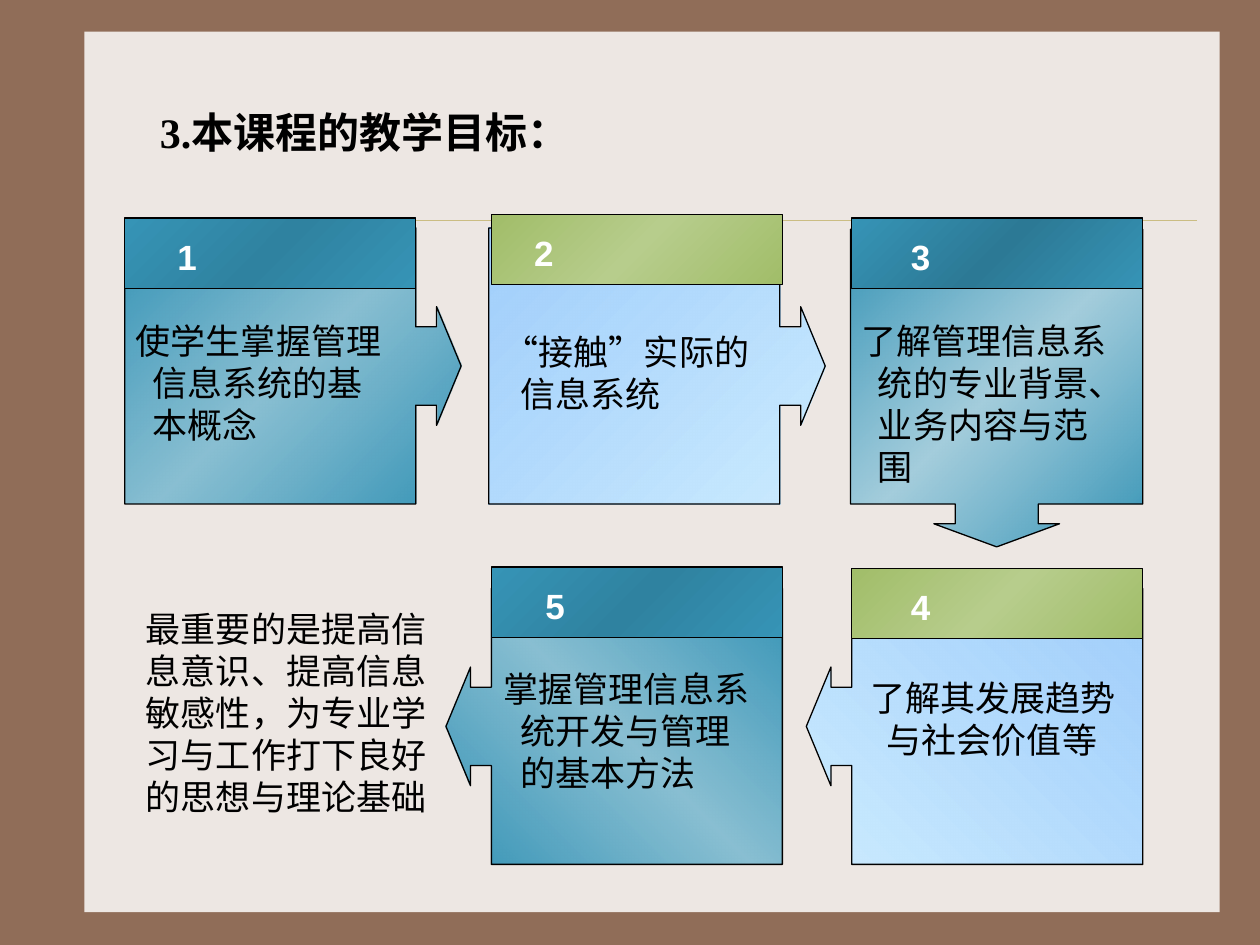
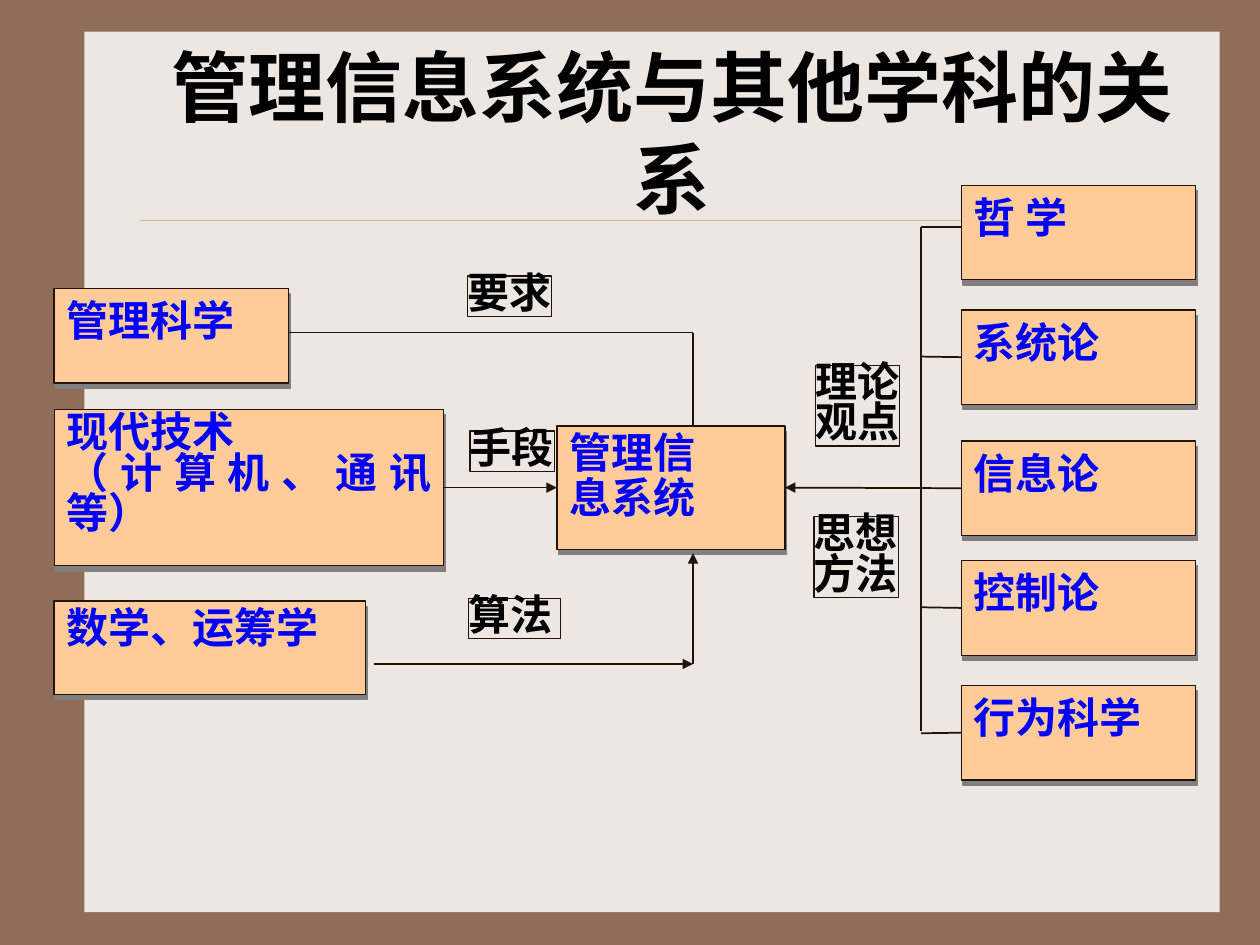
"""Build two course slides: the teaching goals and the related disciplines."""
from lxml import etree
from pptx import Presentation
from pptx import util as u
from pptx.dml.color import RGBColor
from pptx.enum import shapes, text
from pptx.oxml.ns import qn

SLIDE_W, SLIDE_H = 10, 7.5
BACKGROUND, PAPER, RULE = "906D58", "EDE7E3", "CBBD83"
BLACK, WHITE, BLUE, INK = "000000", "FFFFFF", "0000FF", "221304"
BOX_FILL, BOX_SHADOW = "FFCC99", "808080"
SERIF, SANS = "Times New Roman", "Arial"
ROOMY, TIGHT = (0.1, 0.05), (0, 0)
LEFT, CENTER, JUSTIFY = (text.PP_ALIGN.LEFT, text.PP_ALIGN.CENTER,
                         text.PP_ALIGN.JUSTIFY)

GOALS_TITLE = "3.本课程的教学目标："
GOALS_SUMMARY = "最重要的是提高信息意识、提高信息敏感性，为专业学习与工作打下良好的思想与理论基础"
COLUMNS = (0.99, 3.9, 6.76)
HEADER_SIZE = (2.31, 0.56)
CALLOUT_SIZE, DOWN_SIZE = (2.67, 2.19), (2.52, 2.32)

TEAL = [(0, "3694B6", 100), (50, "7FBBD1", 90), (100, "3694B6", 100)]
PALE_TEAL = [(0, "3694B6", 100), (50, "9DCBDC", 90), (100, "3694B6", 100)]
SKY = [(0, "99CCFF", 90), (100, "CCECFF", 100)]
GREEN = [(0, "A1BD69", 100), (50, "B7CD8C", 100), (100, "A1BD69", 100)]
DEEP = [(0, "3694B6", 100), (50, "2F82A0", 100), (100, "3694B6", 100)]
DEEPEST = [(0, "3694B6", 100), (50, "2C7995", 100), (100, "3694B6", 100)]

GOALS = [
    dict(number="1", goal="使学生掌握管理信息系统的基本概念", column=0, top=1.73,
         flow="right", callout=(0.99, 1.81), body=TEAL, header=DEEP,
         number_inset=0.32, goal_at=(0.98, 2.49)),
    dict(number="2", goal="“接触”实际的信息系统", column=1, top=1.7,
         flow="right", callout=(3.88, 1.81), body=SKY, header=GREEN,
         number_inset=0.24, goal_at=(3.9, 2.57)),
    dict(number="3", goal="了解管理信息系统的专业背景、业务内容与范围", column=2, top=1.73,
         flow="down", callout=(6.65, 1.92), body=PALE_TEAL, header=DEEPEST,
         number_inset=0.37, goal_at=(6.74, 2.49)),
    dict(number="4", goal="了解其发展趋势与社会价值等", column=2, top=4.51,
         flow="left", callout=(6.4, 4.67), body=SKY, header=GREEN,
         number_inset=0.37, goal_at=(6.81, 5.32)),
    dict(number="5", goal="掌握管理信息系统开发与管理的基本方法", column=1, top=4.5,
         flow="left", callout=(3.54, 4.67), body=TEAL, header=DEEP,
         number_inset=0.33, goal_at=(3.9, 5.25)),
]

RELATIONS_TITLE = "管理信息系统与其他学科的关系"
THEORY_LEFT, THEORY_SIZE = 7.63, (1.86, 0.75)
TRUNK_X, TURN_X = 7.31, 5.5
THEORIES = [("哲 学", 1.47, 1.8), ("系统论", 2.46, 2.83), ("信息论", 3.5, 3.87),
            ("控制论", 4.45, 4.82), ("行为科学", 5.44, 5.82)]
DISCIPLINES = {
    "management": (["管理科学"], (0.43, 2.29, 1.86, 0.75), LEFT, 1),
    "technology": (["现代技术", "（计算机、通讯等）"], (0.43, 3.25, 3.09, 1.24),
                   JUSTIFY, 0.8),
    "mathematics": (["数学、运筹学"], (0.43, 4.77, 2.47, 0.74), LEFT, 0.9),
    "system": (["管理信", "息系统"], (4.42, 3.38, 1.81, 0.98), LEFT, 0.9),
}
LINK_LABELS = [
    (["要求"], (3.71, 2.19, 0.67, 0.32)),
    (["手段"], (3.73, 3.42, 0.67, 0.32)),
    (["算法"], (3.72, 4.75, 0.73, 0.32)),
    (["理论", "观点"], (6.47, 2.9, 0.67, 0.64)),
    (["思想", "方法"], (6.46, 4.1, 0.67, 0.64)),
]


def rgb(value):
    return RGBColor.from_string(value)


def inches(values):
    return [u.Inches(value) for value in values]


def write(shape, lines, size, font, colour, bold=False, align=LEFT, spacing=1,
          insets=ROOMY, wrap=True, anchor=text.MSO_ANCHOR.TOP, hanging=0):
    frame = shape.text_frame
    frame.word_wrap = wrap
    frame.vertical_anchor = anchor
    frame.margin_left = frame.margin_right = u.Inches(insets[0])
    frame.margin_top = frame.margin_bottom = u.Inches(insets[1])
    for index, line in enumerate(lines):
        paragraph = frame.add_paragraph() if index else frame.paragraphs[0]
        paragraph.alignment = align
        paragraph.line_spacing = spacing
        if hanging:
            properties = paragraph._p.get_or_add_pPr()
            properties.set("marL", str(u.Inches(hanging)))
            properties.set("indent", str(-u.Inches(hanging)))
        run = paragraph.add_run()
        run.text = line
        run.font.size, run.font.name, run.font.bold = u.Pt(size), font, bold
        run.font.color.rgb = rgb(colour)


def add_text(slide, box, lines, *style, **options):
    write(slide.shapes.add_textbox(*inches(box)), lines, *style, **options)


def add_block(slide, kind, box, fill=None, line=None, width=0.75):
    block = slide.shapes.add_shape(kind, *inches(box))
    block.shadow.inherit = False
    if fill:
        block.fill.solid()
        block.fill.fore_color.rgb = rgb(fill)
    else:
        block.fill.background()
    if line:
        block.line.color.rgb = rgb(line)
        block.line.width = u.Pt(width)
    else:
        block.line.fill.background()
    return block


def shade(block, stops, angle):
    block.fill.gradient()
    block.fill.gradient_angle = 360 - angle
    stop_list = block._element.spPr.find(qn("a:gradFill")).find(qn("a:gsLst"))
    for stop in list(stop_list):
        stop_list.remove(stop)
    for position, colour, opacity in stops:
        stop = etree.SubElement(stop_list, qn("a:gs"), pos=str(position * 1000))
        tint = etree.SubElement(stop, qn("a:srgbClr"), val=colour)
        if opacity < 100:
            etree.SubElement(tint, qn("a:alpha"), val=str(opacity * 1000))


def cast_shadow(block):
    effects = block._element.spPr.find(qn("a:effectLst"))
    shadow = etree.SubElement(effects, qn("a:outerShdw"), blurRad="0",
                              dist=str(u.Pt(3.2)), dir=str(72 * 60000),
                              algn="ctr", rotWithShape="0")
    etree.SubElement(shadow, qn("a:srgbClr"), val=BOX_SHADOW)


def add_line(slide, start, end, colour=INK, width=1, arrow=False,
             begin=None, finish=None):
    line = slide.shapes.add_connector(shapes.MSO_CONNECTOR.STRAIGHT,
                                      *inches(start + end))
    line.line.color.rgb = rgb(colour)
    line.line.width = u.Pt(width)
    if arrow:
        etree.SubElement(line.line._get_or_add_ln(), qn("a:tailEnd"), type="triangle")
    etree.SubElement(line._element.spPr, qn("a:effectLst"))
    if begin:
        line.begin_connect(*begin)
    if finish:
        line.end_connect(*finish)


def add_slide(deck, title, size, align):
    slide = deck.slides.add_slide(deck.slide_layouts[6])
    slide.background.fill.solid()
    slide.background.fill.fore_color.rgb = rgb(BACKGROUND)
    add_block(slide, shapes.MSO_SHAPE.RECTANGLE, (0.67, 0.25, 9.01, 6.99), PAPER)
    add_line(slide, (1.11, 1.75), (9.5, 1.75), RULE, 0.25)
    add_text(slide, (1.17, 0.42, 8.33, 1.25), [title], size, SERIF, BLACK, True,
             align, anchor=text.MSO_ANCHOR.MIDDLE)
    return slide


def add_goal(slide, item):
    down = item["flow"] == "down"
    callout = add_block(slide, shapes.MSO_SHAPE.RIGHT_ARROW_CALLOUT,
                        item["callout"] + (DOWN_SIZE if down else CALLOUT_SIZE),
                        line=BLACK)
    for index, share in enumerate((0.284, 0.215, 0.079 if down else 0.089, 0.865)):
        callout.adjustments[index] = share
    shade(callout, item["body"], 315 if down else 45)
    if down:
        callout.rotation = 90
    if item["flow"] == "left":
        callout._element.spPr.xfrm.set("flipH", "1")
    left, top = COLUMNS[item["column"]], item["top"]
    header = add_block(slide, shapes.MSO_SHAPE.RECTANGLE,
                       (left, top) + HEADER_SIZE, line=BLACK)
    shade(header, item["header"], 45)
    add_text(slide, (left + item["number_inset"], top + 0.09, 0.35, 0.44),
             [item["number"]], 20, SANS, WHITE, True, wrap=False)
    add_text(slide, item["goal_at"] + (2.27, 1.1), [item["goal"]], 20, SERIF, BLACK,
             hanging=0.13)


def add_box(slide, lines, box, align=LEFT, spacing=1):
    block = add_block(slide, shapes.MSO_SHAPE.RECTANGLE, box, BOX_FILL, INK)
    cast_shadow(block)
    write(block, lines, 24, SANS, BLUE, True, align, spacing)
    return block


def build_goals(deck):
    slide = add_slide(deck, GOALS_TITLE, 24, LEFT)
    for item in GOALS:
        add_goal(slide, item)
    add_text(slide, (1.06, 4.77, 2.54, 1.77), [GOALS_SUMMARY], 20, SERIF, BLACK)


def build_relations(deck):
    slide = add_slide(deck, RELATIONS_TITLE, 44, CENTER)
    for lines, box in LINK_LABELS:
        label = add_block(slide, shapes.MSO_SHAPE.RECTANGLE, box, line=INK)
        write(label, lines, 24, SANS, BLACK, True, spacing=0.8, insets=TIGHT,
              wrap=False)
    boxes = {name: add_box(slide, *part) for name, part in DISCIPLINES.items()}
    system = boxes["system"]

    add_line(slide, (TRUNK_X, THEORIES[0][2]), (TRUNK_X, 5.8))
    for name, top, branch_y in THEORIES:
        theory = add_box(slide, [name], (THEORY_LEFT, top) + THEORY_SIZE)
        centred = abs(top + THEORY_SIZE[1] / 2 - branch_y) < 0.02
        begin = (theory, 1) if centred else None
        if name == "信息论":
            add_line(slide, (THEORY_LEFT, branch_y), (6.23, branch_y), arrow=True,
                     begin=begin, finish=(system, 3))
        else:
            add_line(slide, (THEORY_LEFT, branch_y), (TRUNK_X, branch_y), begin=begin)

    add_line(slide, (2.29, 2.64), (TURN_X, 2.64))
    add_line(slide, (TURN_X, 2.64), (TURN_X, 3.38))
    add_line(slide, (3.52, 3.87), (4.42, 3.87), arrow=True,
             begin=(boxes["technology"], 3), finish=(system, 1))
    add_line(slide, (2.97, 5.27), (TURN_X, 5.27), arrow=True)
    add_line(slide, (TURN_X, 5.27), (TURN_X, 4.39), arrow=True)


def main():
    deck = Presentation()
    deck.slide_width, deck.slide_height = inches((SLIDE_W, SLIDE_H))
    build_goals(deck)
    build_relations(deck)
    deck.save("out.pptx")


if __name__ == "__main__":
    main()
